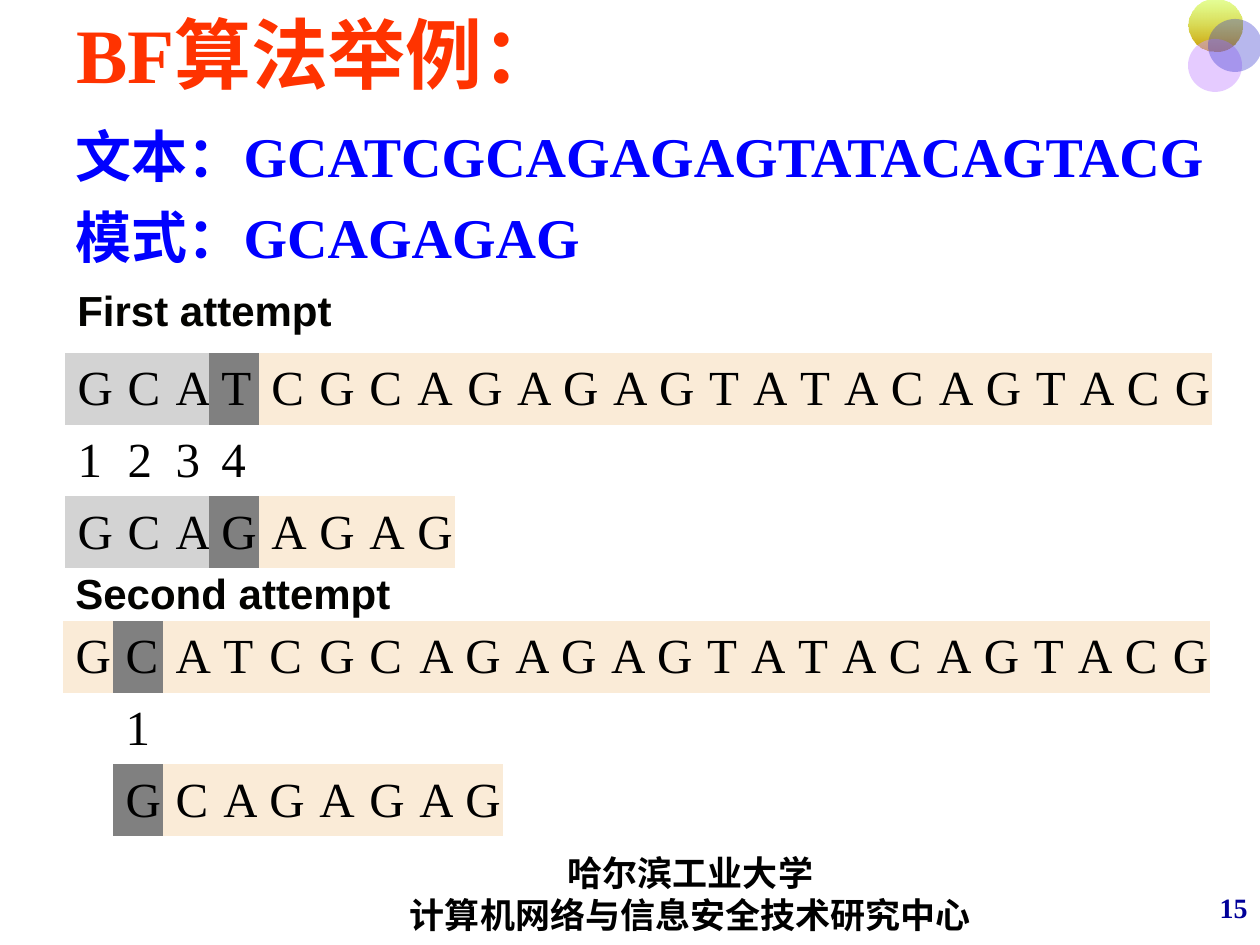
from pptx import Presentation, util as u
from pptx.dml.color import RGBColor
from pptx.enum import shapes, text
from pptx.oxml.ns import qn
from lxml import etree

PX = u.Inches(1) / 126
SERIF, SANS = "Times New Roman", "Arial"
MIDDLE = text.MSO_ANCHOR.MIDDLE
LEFT, CENTER, RIGHT = text.PP_ALIGN.LEFT, text.PP_ALIGN.CENTER, text.PP_ALIGN.RIGHT
NO_STYLE_NO_GRID = "{2D5ABB26-0587-4C30-8999-92F81FD0307C}"


def px(*lengths):
    return [round(length * PX) for length in lengths]


def write(frame, content, size, color, font=SERIF, bold=True, align=LEFT, gap=0):
    """Fill a text frame, one paragraph per line; gap is the space between them."""
    for i, line in enumerate(content.split("\n")):
        paragraph = frame.paragraphs[0] if i == 0 else frame.add_paragraph()
        paragraph.alignment = align
        if i and gap:
            paragraph.space_before = u.Pt(gap)
        run = paragraph.add_run()
        run.text = line
        run.font.size, run.font.name, run.font.bold = u.Pt(size), font, bold
        run.font.color.rgb = RGBColor.from_string(color)


deck = Presentation()
deck.slide_width, deck.slide_height = px(1260, 945)
slide = deck.slides.add_slide(deck.slide_layouts[6])

# Corner ornament: colour and opacity of each stop
ornament = slide.shapes.add_group_shape()
circles = [
    (1188, -1, [("CCFF33", 50), ("CC9900", 100)]),
    (1188, 39, [("CC99FF", 50)]),
    (1208, 19, [("3333CC", 35)]),
]
for left, top, tints in circles:
    circle = ornament.shapes.add_shape(shapes.MSO_SHAPE.OVAL, *px(left, top, 54, 53))
    circle.shadow.inherit = False
    circle.line.fill.background()
    if len(tints) > 1:
        circle.fill.gradient()
        circle.fill.gradient_angle = 270
        colors = [stop.color for stop in circle.fill.gradient_stops]
    else:
        circle.fill.solid()
        colors = [circle.fill.fore_color]
    for color, (tint, _) in zip(colors, tints):
        color.rgb = RGBColor.from_string(tint)
    swatches = circle.element.spPr.iter(qn("a:srgbClr"))
    for swatch, (_, opacity) in zip(swatches, tints):
        etree.SubElement(swatch, qn("a:alpha"), val=str(opacity * 1000))

sequence = "GCATCGCAGAGAGTATACAGTACG"
pattern = "GCAGAGAG"
TOP = text.MSO_ANCHOR.TOP
texts = [
    ((1162, 876, 98, 63), MIDDLE, "15", dict(size=16, color="000099", align=RIGHT)),
    ((323, 849, 735, 89), MIDDLE, "哈尔滨工业大学\n计算机网络与信息安全技术研究中心",
     dict(size=20, color="000000", align=CENTER)),
    ((64, 0, 1134, 106), MIDDLE, "BF算法举例：", dict(size=44, color="FF3300")),
    ((63, 115, 1197, 728), TOP, f"文本：{sequence}\n模式：{pattern}",
     dict(size=32, color="0000FF", gap=8)),
    ((65, 278, 289, 63), MIDDLE, "First attempt", dict(size=24, color="030301", font=SANS)),
    ((63, 561, 349, 63), MIDDLE, "Second attempt", dict(size=24, color="030301", font=SANS)),
]
for bounds, anchor, content, style in texts:
    frame = slide.shapes.add_textbox(*px(*bounds)).text_frame
    frame.word_wrap = True
    frame.vertical_anchor = anchor
    write(frame, content, **style)

# Attempts: pattern shift, number of matched letters, then the mismatch
row_heights = [72, 71, 72]
last_widths = [46, 50, 46, 50, 44, 47, 44, 47, 48, 47, 50, 44, 47, 48, 50]
attempts = [
    (65, 353, 0, 3, [50, 48, 46, 50, 48, 50, 48, 50, 50]),
    (63, 621, 1, 0, [50, 50, 48, 46, 50, 50, 50, 46, 50]),
]
for left, top, shift, matched, first_widths in attempts:
    widths = first_widths + last_widths
    holder = slide.shapes.add_table(
        3, len(sequence), *px(left, top, sum(widths), sum(row_heights)))
    grid = holder.table
    grid.first_row = grid.horz_banding = False
    for style_id in holder.element.iter(qn("a:tableStyleId")):
        style_id.text = NO_STYLE_NO_GRID
    for column, width in zip(grid.columns, px(*widths)):
        column.width = width
    for row, height in zip(grid.rows, px(*row_heights)):
        row.height = height

    mismatch = shift + matched
    steps = "".join(str(n + 1) for n in range(matched + 1))
    for r, letters in enumerate([sequence, " " * shift + steps, " " * shift + pattern]):
        for c, letter in enumerate(letters):
            if r == 1 or letter == " ":
                fill = "FFFFFF"
            elif c == mismatch:
                fill = "808080"
            elif shift <= c < mismatch:
                fill = "D3D3D3"
            else:
                fill = "FAEBD7"
            cell = grid.cell(r, c)
            cell.vertical_anchor = MIDDLE
            cell.fill.solid()
            cell.fill.fore_color.rgb = RGBColor.from_string(fill)
            if letter != " ":
                write(cell.text_frame, letter, size=28, color="000000", bold=False)
        if len(letters) < len(sequence):
            grid.cell(r, len(letters)).merge(grid.cell(r, len(sequence) - 1))

deck.save("out.pptx")
